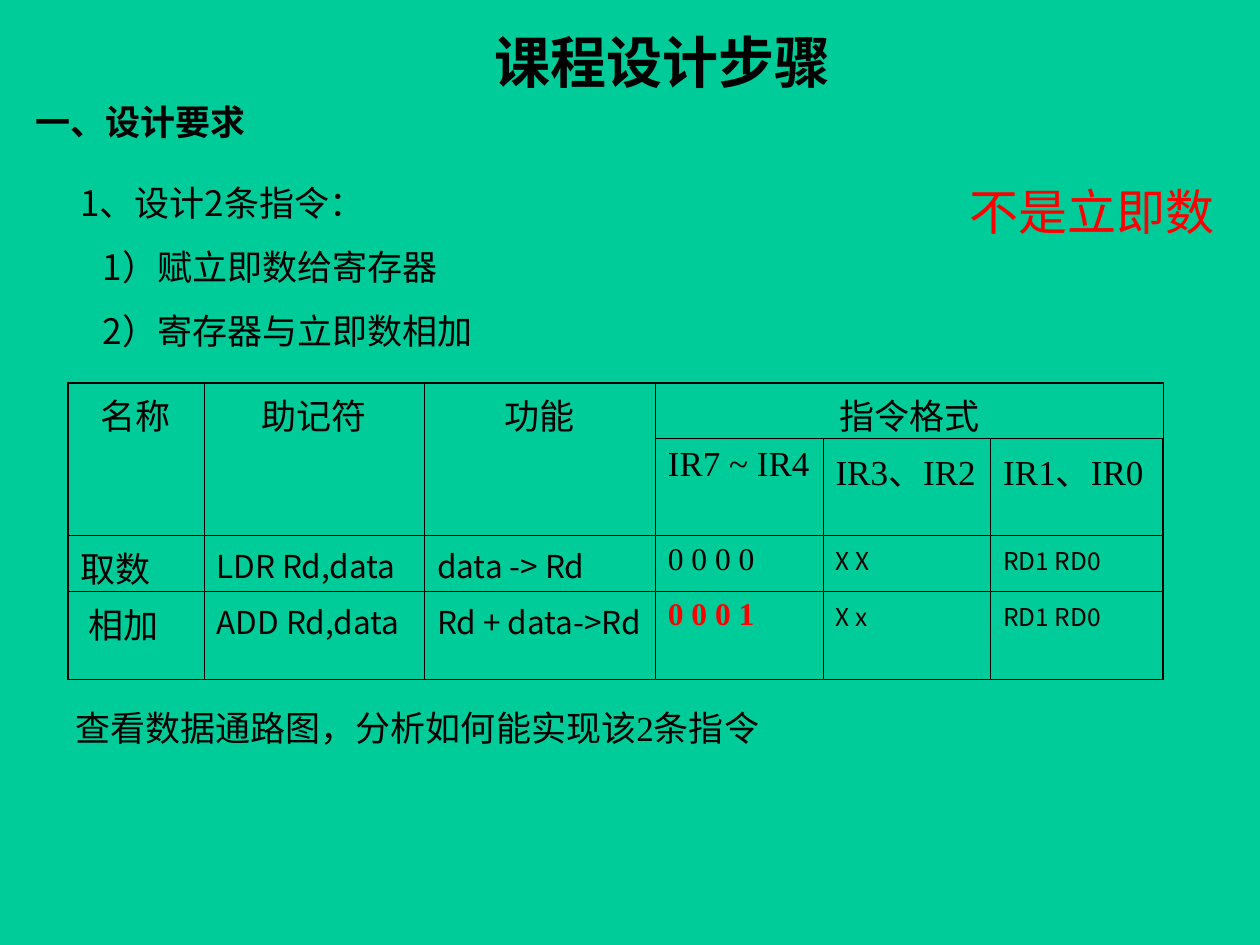
from dataclasses import dataclass

from lxml import etree
from pptx import Presentation
from pptx.dml.color import RGBColor
from pptx.enum import text as t
from pptx.oxml.ns import qn
from pptx.util import Cm, Pt


@dataclass(frozen=True)
class Theme:
    back: str = "00CC99"
    ink: str = "000000"
    red: str = "FF0000"
    serif: str = "Times New Roman"
    sans: str = "Noto Sans CJK SC"
    title: int = 32
    note: int = 28
    body: int = 20
    code: int = 18
    small: int = 14
    thin: float = 0.45
    thick: float = 1.08


T = Theme()
LEFT, MID, JUST = t.PP_ALIGN.LEFT, t.PP_ALIGN.CENTER, t.PP_ALIGN.JUSTIFY


def write(para, words, size=T.body, font=T.serif, color=T.ink, bold=False,
          align=LEFT, before=0, indent=0):
    """Put one formatted run into a paragraph."""
    para.alignment = align
    para.space_before = Pt(before)
    if indent:
        para._p.get_or_add_pPr().set("marL", str(Cm(indent)))
    run = para.add_run()
    run.text = words
    run.font.size, run.font.name, run.font.bold = Pt(size), font, bold
    run.font.color.rgb = RGBColor.from_string(color)
    east = etree.SubElement(run._r.get_or_add_rPr(), qn("a:ea"))
    east.set("typeface", T.sans)


def label(slide, box, words, wrap=False, **form):
    """Text box with a single line."""
    frame = slide.shapes.add_textbox(*map(Cm, box)).text_frame
    frame.word_wrap = wrap
    write(frame.paragraphs[0], words, **form)
    return frame


def head(slide, box, words):
    title = slide.shapes.title
    title.left, title.top, title.width, title.height = map(Cm, box)
    frame = title.text_frame
    frame.auto_size = t.MSO_AUTO_SIZE.NONE
    frame.vertical_anchor = t.MSO_ANCHOR.TOP
    write(frame.paragraphs[0], words, size=T.title, bold=True, align=MID)


def tasks(slide, box, lead, items):
    form = dict(font=T.sans, align=JUST, before=12.5)
    frame = label(slide, box, lead, wrap=True, **form)
    for item in items:
        write(frame.add_paragraph(), item, indent=0.45, **form)


def edge(cell, widths):
    """Draw the left, right, top and bottom borders of a cell."""
    props = cell._tc.get_or_add_tcPr()
    for spot, (side, width) in enumerate(zip("LRTB", widths)):
        line = etree.Element(qn("a:ln" + side), w=str(Pt(width)))
        fill = etree.SubElement(line, qn("a:solidFill"))
        etree.SubElement(fill, qn("a:srgbClr"), val=T.ink)
        props.insert(spot, line)


def grid(slide, box, cols, rows, cells):
    """Table; cells maps (row, column) to words and format."""
    table = slide.shapes.add_table(len(rows), len(cols), *map(Cm, box)).table
    table.first_row = table.horz_banding = False
    for col, width in zip(table.columns, cols):
        col.width = Cm(width)
    for row, height in zip(table.rows, rows):
        row.height = Cm(height)

    # Fill and borders: heavier on the left, right and top outside
    for r in range(len(rows)):
        for c in range(len(cols)):
            cell = table.cell(r, c)
            cell.fill.background()
            heavy = (c == 0, c == len(cols) - 1, r == 0, False)
            edge(cell, [T.thick if h else T.thin for h in heavy])

    # Header cells that span
    for c in range(3):
        table.cell(0, c).merge(table.cell(1, c))
    table.cell(0, 3).merge(table.cell(0, 5))

    for (r, c), (words, form) in cells.items():
        size = form.get("size", T.body)
        before = 0 if form.get("align") == JUST else size / 4
        write(table.cell(r, c).text_frame.paragraphs[0], words,
              before=before, **form)


def fields():
    """Table wording, with one format for each kind of column."""
    cells = {(0, c): (words, dict(align=MID)) for c, words in
             enumerate(["名称", "助记符", "功能", "指令格式"])}
    for c, words in enumerate(["IR7 ~ IR4", "IR3、IR2", "IR1、IR0"], 3):
        cells[1, c] = (words, {})
    forms = [
        {},
        dict(size=T.code, font=T.sans, align=JUST),
        dict(size=T.code, font=T.sans),
        dict(size=T.code),
        dict(size=T.small, font=T.sans, align=JUST),
        dict(size=T.small, font=T.sans),
    ]
    orders = [
        ["取数", "LDR Rd,data", "data -> Rd", "0 0 0 0", "X X", "RD1 RD0"],
        ["相加", "ADD Rd,data", "Rd + data->Rd", "0 0 0 1", "X x", "RD1 RD0"],
    ]
    for r, order in enumerate(orders, 2):
        for c, (words, form) in enumerate(zip(order, forms)):
            cells[r, c] = (words, dict(form))
    cells[3, 0][1].update(indent=0.15)
    cells[3, 3][1].update(color=T.red, bold=True)
    return cells


def main():
    deck = Presentation()
    deck.slide_width, deck.slide_height = Cm(25.4), Cm(19.05)
    slide = deck.slides.add_slide(deck.slide_layouts[5])
    slide.background.fill.solid()
    slide.background.fill.fore_color.rgb = RGBColor.from_string(T.back)

    # Title and section heading
    head(slide, (6.15, 0.43, 14.4, 1.63), "课程设计步骤")
    label(slide, (0.46, 1.9, 4.75, 1.12), "一、设计要求", bold=True)

    # Task list, instruction table and closing line
    tasks(slide, (1.37, 3.53, 23.93, 4.98), "1、设计2条指令：",
          ["1）赋立即数给寄存器", "2）寄存器与立即数相加"])
    grid(slide, (1.37, 7.72, 22.08, 5.98),
         (2.74, 4.45, 4.65, 3.38, 3.38, 3.48),
         (1.12, 1.96, 1.12, 1.78), fields())
    label(slide, (1.27, 14.12, 14.63, 1.12),
          "查看数据通路图，分析如何能实现该2条指令")

    # Red remark
    label(slide, (19.3, 3.53, 5.44, 1.45), "不是立即数",
          size=T.note, color=T.red)
    deck.save("out.pptx")


if __name__ == "__main__":
    main()
